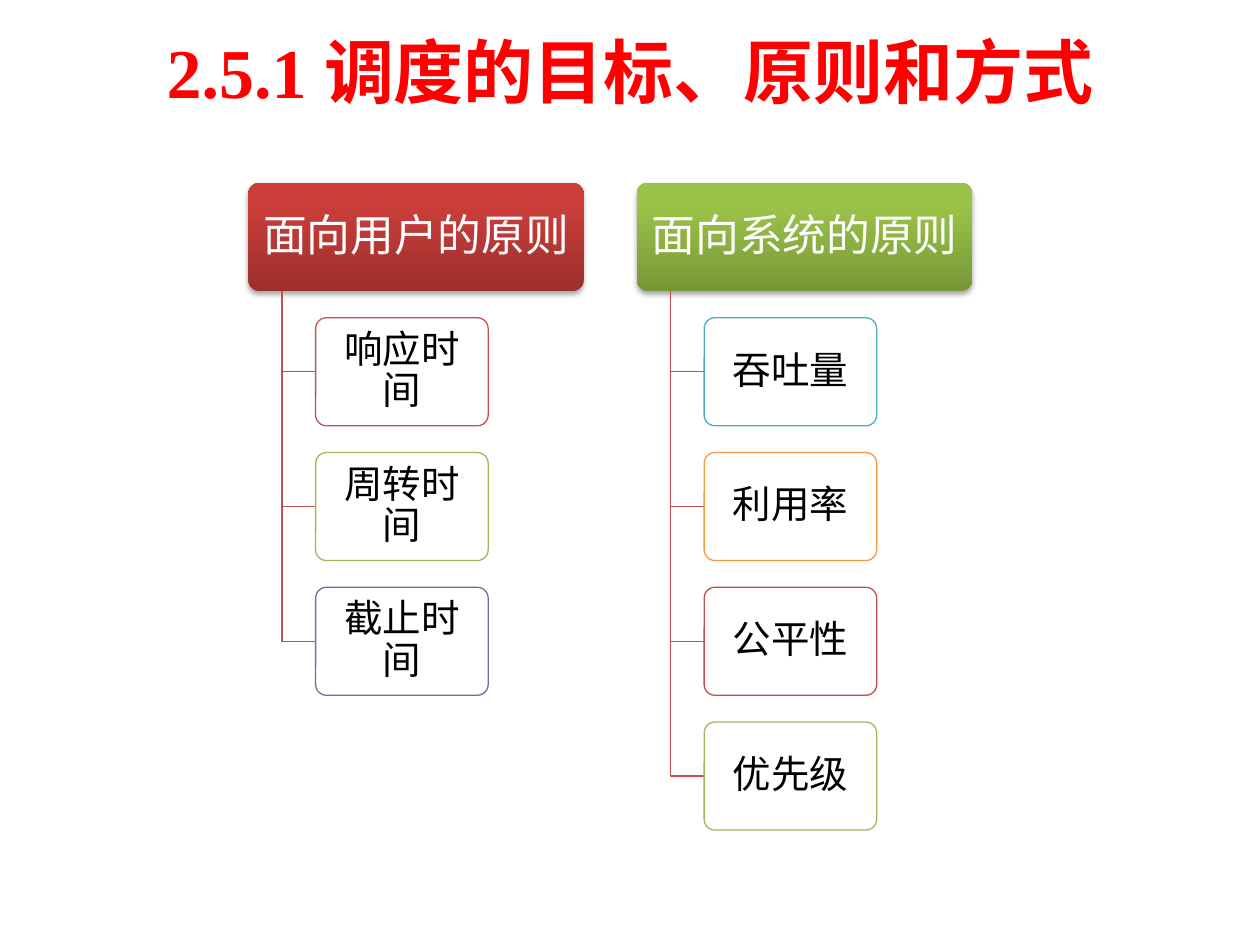
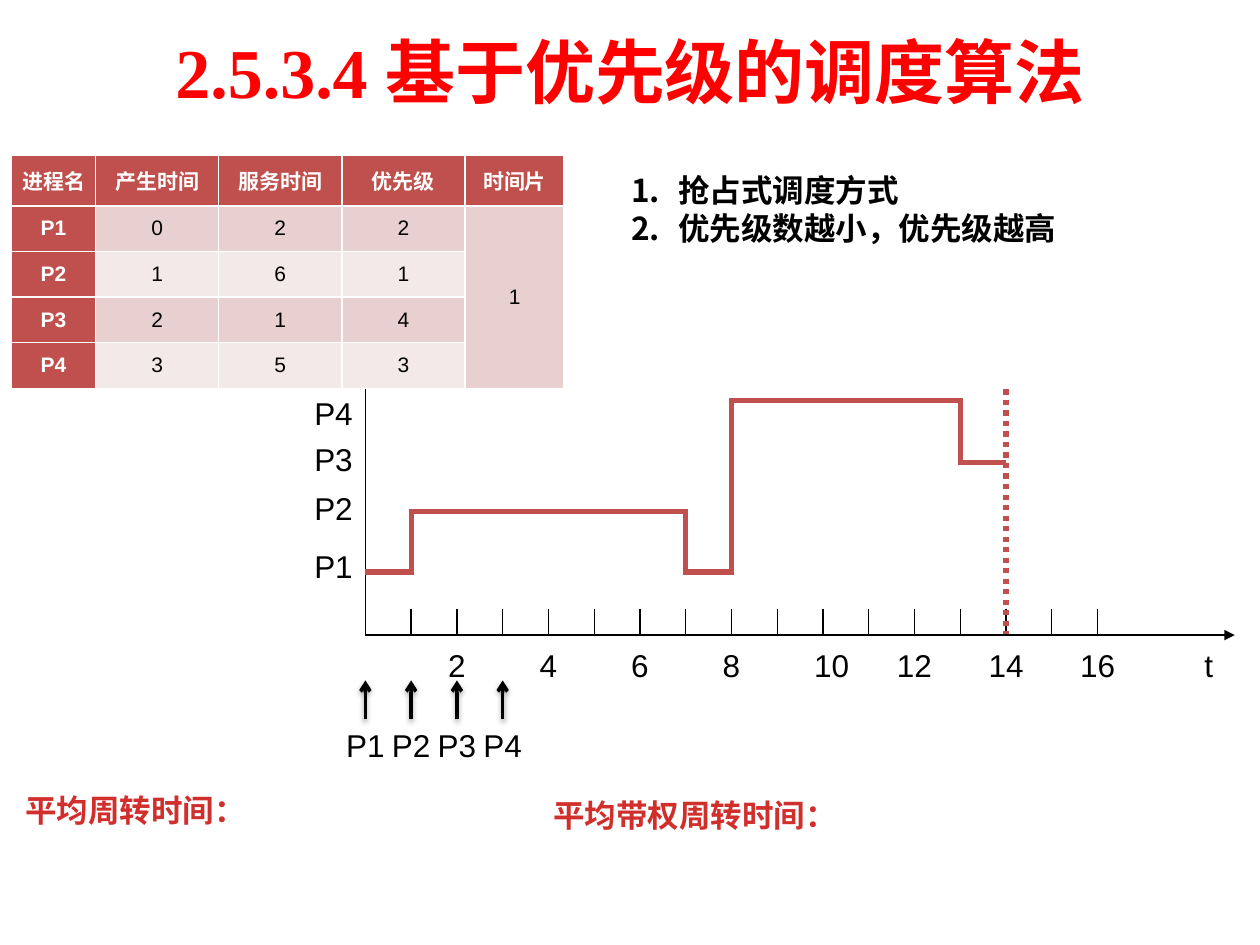
"""Build two slides on process scheduling: its principles and a priority example."""
from dataclasses import dataclass
from itertools import pairwise

from lxml.etree import SubElement
from pptx import Presentation
from pptx.dml.color import RGBColor
from pptx.enum.dml import MSO_LINE as Dash
from pptx.enum.shapes import MSO_CONNECTOR as Connector, MSO_SHAPE as Shape
from pptx.enum.text import MSO_ANCHOR as Anchor, PP_ALIGN as Align
from pptx.oxml.ns import qn
from pptx.util import Pt


@dataclass(frozen=True)
class Theme:
    title: str = "FF0000"
    ink: str = "000000"
    paper: str = "FFFFFF"
    red: str = "C0504D"
    green: str = "9BBB59"
    purple: str = "8064A2"
    teal: str = "4BACC6"
    orange: str = "F79646"
    result: str = "D02F2C"
    bands: tuple = ("E8D0D0", "F4E9E9")
    red_gradient: tuple = ("9C2F2D", "CB3E3A")
    green_gradient: tuple = ("779737", "9BC348")
    title_font: str = "Times New Roman"
    diagram_font: str = "Calibri"
    body_font: str = "Arial"
    title_size: float = 40
    header_size: float = 25
    item_size: float = 22
    body_size: float = 18
    table_size: float = 12
    thin: float = 0.75
    medium: float = 2
    thick: float = 3


THEME = Theme()


def rgb(code):
    return RGBColor.from_string(code)


def write(para, text, size=THEME.body_size, font=THEME.body_font, color=THEME.ink,
          bold=False, align=None, spacing=None):
    para.alignment = align
    para.line_spacing = spacing
    span = para.add_run()
    span.text = text
    span.font.size = Pt(size)
    span.font.name = font
    span.font.bold = bold
    span.font.color.rgb = rgb(color)


def add_shadow(effects):
    shadow = SubElement(effects, qn("a:outerShdw"), blurRad=str(Pt(3.1)),
                        dist=str(Pt(1.7)), dir="5400000", rotWithShape="0")
    black = SubElement(shadow, qn("a:srgbClr"), val=THEME.ink)
    SubElement(black, qn("a:alpha"), val="35000")


class SlideBuilder:
    def __init__(self, deck, theme):
        self.deck = deck
        self.theme = theme
        self.page = None

    def start(self, title):
        self.page = self.deck.slides.add_slide(self.deck.slide_layouts[5])
        box = self.page.shapes.title
        box.left, box.top, box.width, box.height = Pt(36), Pt(3.6), Pt(648), Pt(73.4)
        box.text_frame.vertical_anchor = Anchor.MIDDLE
        write(box.text_frame.paragraphs[0], title, size=self.theme.title_size,
              font=self.theme.title_font, color=self.theme.title, bold=True,
              align=Align.CENTER)

    def card(self, text, left, top, width, height, size, color, outline=None, gradient=None):
        box = self.page.shapes.add_shape(Shape.ROUNDED_RECTANGLE, Pt(left), Pt(top),
                                         Pt(width), Pt(height))
        box.adjustments[0] = 0.1
        box.shadow.inherit = False
        if gradient:
            box.fill.gradient()
            box.fill.gradient_angle = 90
            for stop, shade, position in zip(box.fill.gradient_stops, gradient, (0, 0.8)):
                stop.color.rgb = rgb(shade)
                stop.position = position
            box.line.fill.background()
            add_shadow(box._element.spPr.find(qn("a:effectLst")))
        else:
            box.fill.solid()
            box.fill.fore_color.rgb = rgb(self.theme.paper)
            box.line.color.rgb = rgb(outline)
            box.line.width = Pt(self.theme.thin)
        frame = box.text_frame
        frame.word_wrap = True
        frame.vertical_anchor = Anchor.MIDDLE
        frame.margin_left = frame.margin_right = Pt(3.6)
        frame.margin_top = frame.margin_bottom = Pt(2)
        write(frame.paragraphs[0], text, size=size, font=self.theme.diagram_font,
              color=color, align=Align.CENTER, spacing=0.9)

    def elbow(self, left, top, right, bottom):
        outline = self.page.shapes.build_freeform(Pt(left), Pt(top))
        outline.add_line_segments([(Pt(left), Pt(bottom)), (Pt(right), Pt(bottom))], close=False)
        bracket = outline.convert_to_shape()
        bracket.shadow.inherit = False
        bracket.fill.background()
        bracket.line.color.rgb = rgb(self.theme.red)
        bracket.line.width = Pt(self.theme.thin)

    def line(self, start, end, color=THEME.ink, width=THEME.thin, dash=None,
             arrow=None, shadow=False):
        connector = self.page.shapes.add_connector(Connector.STRAIGHT, *map(Pt, start + end))
        connector.line.color.rgb = rgb(color)
        connector.line.width = Pt(width)
        if dash:
            connector.line.dash_style = dash
        properties = connector._element.spPr
        if arrow:
            SubElement(properties.find(qn("a:ln")), qn("a:tailEnd"), type=arrow)
        effects = SubElement(properties, qn("a:effectLst"))
        if shadow:
            add_shadow(effects)

    def label(self, text, center, top, width=36.8, **style):
        box = self.page.shapes.add_textbox(Pt(center - width / 2), Pt(top), Pt(width), Pt(28.8))
        box.text_frame.word_wrap = False
        write(box.text_frame.paragraphs[0], text, align=Align.CENTER, **style)

    def numbered(self, items, left, top, width, height):
        frame = self.page.shapes.add_textbox(Pt(left), Pt(top), Pt(width), Pt(height)).text_frame
        frame.word_wrap = True
        for index, item in enumerate(items):
            para = frame.add_paragraph() if index else frame.paragraphs[0]
            properties = para._p.get_or_add_pPr()
            properties.set("marL", str(Pt(27)))
            properties.set("indent", str(-Pt(27)))
            SubElement(properties, qn("a:buFont"), typeface="+mj-lt")
            SubElement(properties, qn("a:buAutoNum"), type="arabicPeriod")
            write(para, item, bold=True)

    def table(self, rows, left, top, widths, heights):
        grid = self.page.shapes.add_table(len(rows), len(widths), Pt(left), Pt(top),
                                          Pt(sum(widths)), Pt(sum(heights))).table
        grid.first_col = True
        for column, width in zip(grid.columns, widths):
            column.width = Pt(width)
        for line, height in zip(grid.rows, heights):
            line.height = Pt(height)
        grid.cell(1, 4).merge(grid.cell(4, 4))
        for row, values in enumerate(rows):
            for column, text in enumerate(values):
                cell = grid.cell(row, column)
                heading = row == 0 or column == 0
                cell.fill.solid()
                cell.fill.fore_color.rgb = rgb(
                    self.theme.red if heading else self.theme.bands[(row - 1) % 2])
                cell.vertical_anchor = Anchor.MIDDLE
                cell.margin_left = cell.margin_right = Pt(5)
                cell.margin_top = cell.margin_bottom = Pt(0)
                write(cell.text_frame.paragraphs[0], text, size=self.theme.table_size,
                      color=self.theme.paper if heading else self.theme.ink,
                      bold=heading, align=Align.CENTER)


def build_principles(slide):
    theme = slide.theme
    top, height, pitch = 104.6, 61.7, 77
    groups = [
        (142, "面向用户的原则", theme.red_gradient,
         [("响应时间", theme.red), ("周转时间", theme.green), ("截止时间", theme.purple)]),
        (364, "面向系统的原则", theme.green_gradient,
         [("吞吐量", theme.teal), ("利用率", theme.orange), ("公平性", theme.red),
          ("优先级", theme.green)]),
    ]
    slide.start("2.5.1 调度的目标、原则和方式")
    for left, header, gradient, items in groups:
        slide.card(header, left, top, 191.5, height, theme.header_size, theme.paper,
                   gradient=gradient)
        for row, (item, outline) in enumerate(items, 1):
            item_top = top + row * pitch
            slide.elbow(left + 19.2, top + height, left + 38.4, item_top + height / 2)
            slide.card(item, left + 38.4, item_top, 98.6, height, theme.item_size,
                       theme.ink, outline=outline)


def build_priority(slide):
    theme = slide.theme
    origin, unit, axis = 208.8, 26.15, 362.9
    label_tops = {"P1": 308.9, "P2": 275.8, "P3": 247.7, "P4": 221.8}
    levels = {"P1": 326.9, "P2": 292.5, "P3": 264.4, "P4": 229}
    runs = [("P1", 0, 1), ("P2", 1, 7), ("P1", 7, 8), ("P4", 8, 13), ("P3", 13, 14)]
    trace = {"color": theme.red, "width": theme.thick}

    def at(time):
        return origin + time * unit

    slide.start("2.5.3.4 基于优先级的调度算法")
    slide.line((origin, axis), (705.6, axis), arrow="triangle")
    slide.line((origin, 190.8), (origin, axis))
    for time in range(1, 17):
        slide.line((at(time), 347.8), (at(time), 362.2))
    for time in range(2, 17, 2):
        nudge = 5 if time == 10 else 0
        slide.label(str(time), at(time) + nudge, 365.8)
    slide.label("t", 690.8, 365.8)

    slide.table([
        ["进程名", "产生时间", "服务时间", "优先级", "时间片"],
        ["P1", "0", "2", "2", "1"],
        ["P2", "1", "6", "1"],
        ["P3", "2", "1", "4"],
        ["P4", "3", "5", "3"],
    ], 6.6, 88.8, [48, 70.4, 70.4, 70.4, 56.6], [28.8] + [26.1] * 4)
    slide.numbered(["抢占式调度方式", "优先级数越小，优先级越高"], 353.5, 94.3, 301.7, 51)

    for arrival, (process, top) in enumerate(label_tops.items()):
        slide.label(process, 190.6, top)
        slide.label(process, at(arrival), 411.1)
        slide.line((at(arrival), 411.1), (at(arrival), 388.8), width=theme.medium,
                   arrow="arrow", shadow=True)

    slide.line((at(14), 222.5), (at(14), 362.2), dash=Dash.ROUND_DOT, **trace)
    for process, start, end in runs:
        slide.line((at(start), levels[process]), (at(end), levels[process]), **trace)
    for (before, _, time), (after, _, _) in pairwise(runs):
        high, low = sorted((levels[before], levels[after]))
        slide.line((at(time), high - 1.5), (at(time), low + 1.5), **trace)

    slide.label("平均周转时间：", 68.4, 448.6, width=136.8, color=theme.result, bold=True)
    slide.label("平均带权周转时间：", 397.1, 451.4, width=179.3, color=theme.result, bold=True)


def main():
    deck = Presentation()
    deck.slide_width, deck.slide_height = Pt(720), Pt(540)
    slide = SlideBuilder(deck, THEME)
    build_principles(slide)
    build_priority(slide)
    deck.save("out.pptx")


if __name__ == "__main__":
    main()
